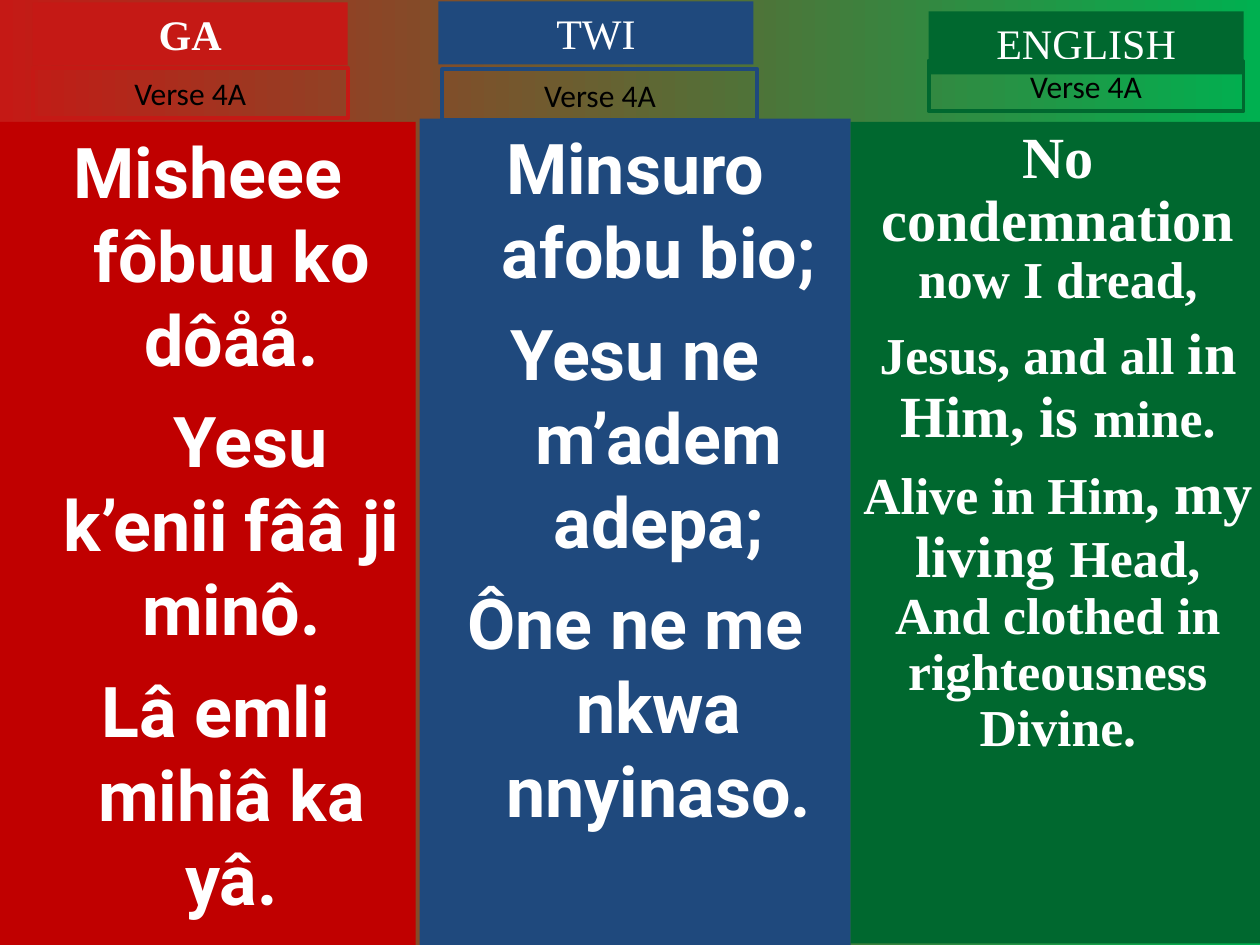
from dataclasses import dataclass

from pptx import Presentation
from pptx import util as u
from pptx.dml.color import RGBColor
from pptx.enum import shapes, text

COLORS = {
    "white": "FFFFFF",
    "black": "000000",
    "ga": "C51915",
    "ga_panel": "C00000",
    "twi": "1F497D",
    "english": "00682F",
    "background_end": "00B050",
}
HEADING_SIZE = (6.35, 1.27)
VERSE_SIZE = (6.35, 1.02)
HANGING = 0.95
LARGE, SMALL = 33.3, 29.6


@dataclass
class Span:
    words: str
    size: float
    font: str = "Times New Roman"
    color: str = "white"
    bold: bool = False


@dataclass
class Line:
    spans: list[Span]
    before: float = 0
    spacing: float | None = None
    margin: float = 0
    first_indent: float = 0


@dataclass
class Column:
    language: str
    color: str
    panel_color: str
    panel: tuple[float, float, float, float]
    heading_at: tuple[float, float]
    verse_at: tuple[float, float]
    lines: list[Line]
    bold_heading: bool = False


def hymn_line(words: str, shift: float = 0) -> Line:
    """Hanging line; shift moves its first row to the right."""
    return Line([Span(words, 40, "Roboto", bold=True)], before=10,
                margin=HANGING, first_indent=shift - HANGING)


def english_line(*parts: tuple[str, float]) -> Line:
    return Line([Span(words, size, bold=True) for words, size in parts],
                before=8, spacing=0.9)


COLUMNS = [
    Column("GA", "ga", "ga_panel", (0, 2.46, 8.38, 16.59), (0.66, 0.05), (0.66, 1.37), [
        hymn_line("Misheee fôbuu ko dôåå."),
        hymn_line("Yesu k’enii fââ ji minô.", shift=1.74),
        hymn_line("Lâ emli mihiâ ka yâ.", shift=0.32),
    ], bold_heading=True),
    Column("TWI", "twi", "twi", (8.46, 2.39, 8.69, 16.66), (8.84, 0.03), (8.92, 1.4), [
        hymn_line("Minsuro afobu bio;"),
        hymn_line("Yesu ne m’adem adepa;"),
        hymn_line("Ône ne me nkwa nnyinaso."),
    ]),
    Column("ENGLISH", "english", "english", (17.15, 2.46, 8.36, 16.56),
           (18.72, 0.23), (18.72, 1.22), [
        english_line(("No condemnation ", LARGE), ("now I dread,", SMALL)),
        english_line(("Jesus, and all ", SMALL), ("in Him, is ", LARGE), ("mine.", SMALL)),
        english_line(("Alive in Him", SMALL), (", my living ", LARGE),
                     ("Head, And clothed in righteousness Divine.", SMALL)),
    ]),
]


def rgb(name: str) -> RGBColor:
    return RGBColor.from_string(COLORS[name])


def write(box, lines: list[Line]) -> None:
    frame = box.text_frame
    frame.word_wrap = True
    frame.vertical_anchor = text.MSO_ANCHOR.TOP
    for index, line in enumerate(lines):
        para = frame.add_paragraph() if index else frame.paragraphs[0]
        para.alignment = text.PP_ALIGN.CENTER
        para.space_before = u.Pt(line.before if index else 0)
        if line.spacing:
            para.line_spacing = line.spacing
        if line.margin:
            properties = para._p.get_or_add_pPr()
            properties.set("marL", str(u.Cm(line.margin)))
            properties.set("indent", str(u.Cm(line.first_indent)))
        for span in line.spans:
            run = para.add_run()
            run.text = span.words
            run.font.size = u.Pt(span.size)
            run.font.name = span.font
            run.font.bold = span.bold
            run.font.color.rgb = rgb(span.color)


def add_box(page, area: tuple[float, ...], lines: list[Line],
            fill: str | None = None, outline: str | None = None):
    box = page.shapes.add_shape(shapes.MSO_SHAPE.RECTANGLE, *map(u.Cm, area))
    box.shadow.inherit = False
    if fill:
        box.fill.solid()
        box.fill.fore_color.rgb = rgb(fill)
    else:
        box.fill.background()
    if outline:
        box.line.color.rgb = rgb(outline)
        box.line.width = u.Pt(2.25)
    else:
        box.line.fill.background()
    write(box, lines)
    return box


def add_column(page, column: Column) -> None:
    add_box(page, column.panel, column.lines, fill=column.panel_color)
    heading = Line([Span(column.language, 24, bold=column.bold_heading)])
    add_box(page, column.heading_at + HEADING_SIZE, [heading], fill=column.color)
    verse = Line([Span("Verse 4A", 18, "Calibri", "black")])
    add_box(page, column.verse_at + VERSE_SIZE, [verse], outline=column.color)


def paint_background(page) -> None:
    fill = page.background.fill
    fill.gradient()
    fill.gradient_angle = 0
    for stop, name in zip(fill.gradient_stops, ("ga", "background_end")):
        stop.color.rgb = rgb(name)


def main() -> None:
    deck = Presentation()
    deck.slide_width, deck.slide_height = u.Cm(25.4), u.Cm(19.05)
    page = deck.slides.add_slide(deck.slide_layouts[6])
    paint_background(page)
    for column in COLUMNS:
        add_column(page, column)
    deck.save("out.pptx")


if __name__ == "__main__":
    main()
